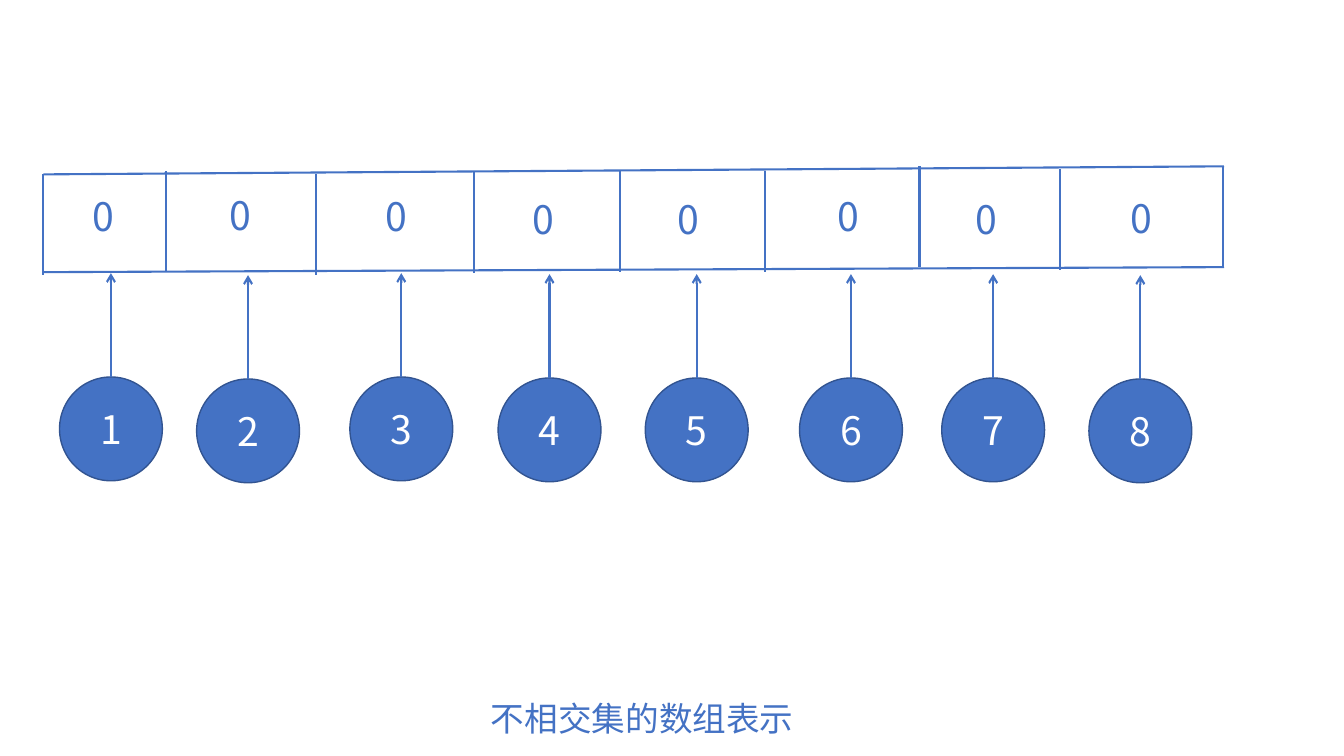
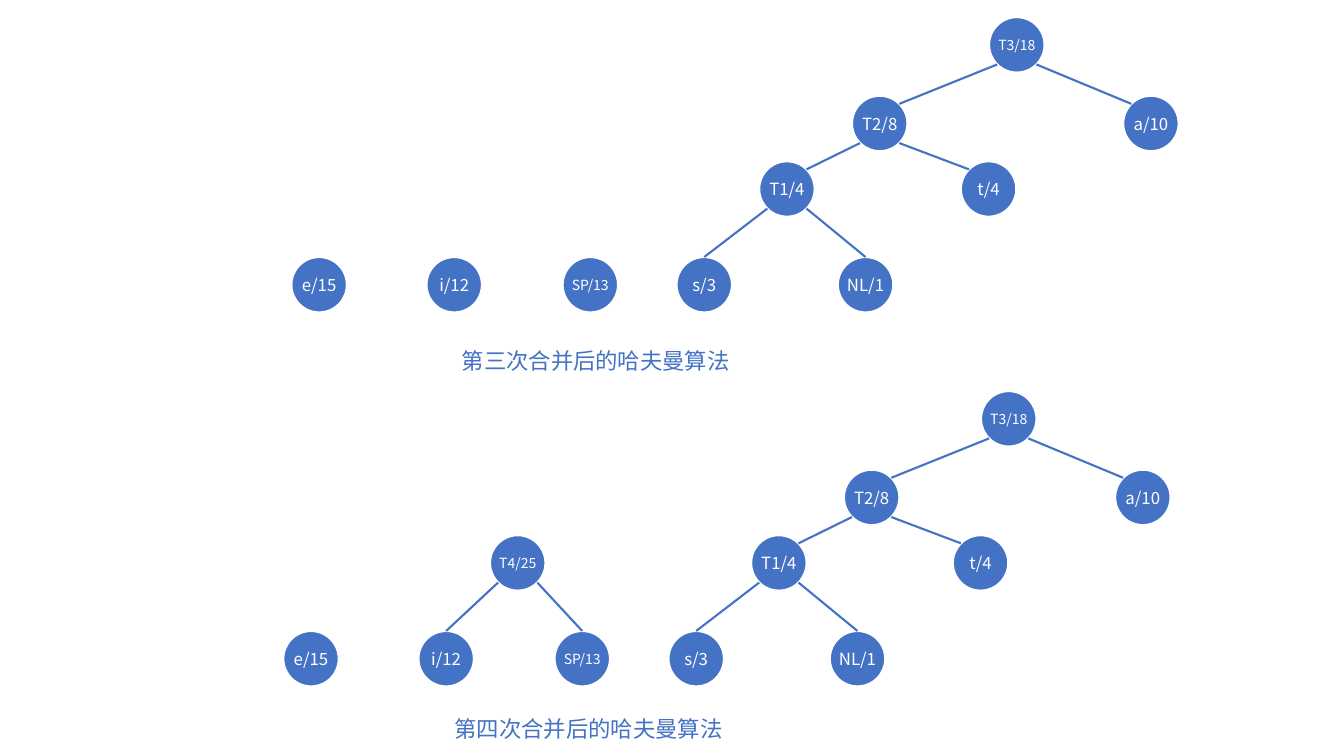
from math import sqrt

from lxml.etree import SubElement
from pptx import Presentation
from pptx.dml.color import RGBColor
from pptx.enum.shapes import MSO_CONNECTOR, MSO_SHAPE
from pptx.enum.text import MSO_ANCHOR, MSO_AUTO_SIZE, PP_ALIGN
from pptx.oxml.ns import qn
from pptx.util import Pt

PX = 9144
FONT = "Noto Sans CJK SC"
COLORS = {"blue": "4472C4", "navy": "325491", "white": "FFFFFF"}

DIVIDERS = [(0, 8), (122, 5), (270, 8), (427, 6), (572, 5),
            (716, 5), (869, 0), (1008, 3), (1170, 0)]
ZEROS = [(39, 21), (175, 20), (329, 21), (475, 24),
         (619, 24), (778, 21), (915, 24), (1068, 23)]
ELEMENTS = [(16, 209), (152, 211), (304, 209), (451, 210),
            (597, 210), (750, 210), (891, 210), (1037, 211)]

NODE = 55
LEAF_Y = 238
NODES = {"e/15": (0, LEAF_Y), "i/12": (134, LEAF_Y), "SP/13": (269, LEAF_Y),
         "s/3": (382, LEAF_Y), "NL/1": (542, LEAF_Y), "T1/4": (464, 143),
         "t/4": (664, 143), "T2/8": (556, 78), "a/10": (825, 78),
         "T3/18": (692, 0)}
EDGES = [("T1/4", "s/3"), ("T1/4", "NL/1"), ("T2/8", "T1/4"),
         ("T2/8", "t/4"), ("T3/18", "T2/8"), ("T3/18", "a/10")]
MERGED_NODES = {**NODES, "T4/25": (205, 143)}
MERGED_EDGES = EDGES + [("T4/25", "i/12"), ("T4/25", "SP/13")]


def rgb(name):
    return RGBColor.from_string(COLORS[name])


def box(*lengths):
    return [round(v * PX) for v in lengths]


def write(tf, text, size, color, align=None):
    tf.word_wrap = True
    p = tf.paragraphs[0]
    p.alignment = align
    r = p.add_run()
    r.text = text
    r.font.size = Pt(size)
    r.font.name = FONT
    r.font.color.rgb = rgb(color)
    SubElement(r.font._element, qn("a:ea"), typeface=FONT)


def add_text(slide, x, y, w, h, text, size, align=None):
    tf = slide.shapes.add_textbox(*box(x, y, w, h)).text_frame
    write(tf, text, size, "blue", align)
    tf.auto_size = MSO_AUTO_SIZE.SHAPE_TO_FIT_TEXT


def add_circle(slide, x, y, w, h, text, size, outline, width):
    sp = slide.shapes.add_shape(MSO_SHAPE.OVAL, *box(x, y, w, h))
    sp.shadow.inherit = False
    sp.fill.solid()
    sp.fill.fore_color.rgb = rgb("blue")
    sp.line.color.rgb = rgb(outline)
    sp.line.width = Pt(width)
    tf = sp.text_frame
    tf.margin_left = tf.margin_right = 0
    tf.vertical_anchor = MSO_ANCHOR.MIDDLE
    write(tf, text, size, "white", PP_ALIGN.CENTER)
    return sp


def add_line(slide, x1, y1, x2, y2, arrow=False):
    line = slide.shapes.add_connector(MSO_CONNECTOR.STRAIGHT, *box(x1, y1, x2, y2))
    line.line.color.rgb = rgb("blue")
    line.line.width = Pt(1.5)
    if arrow:
        SubElement(line.line._get_or_add_ln(), qn("a:tailEnd"), type="arrow")
    SubElement(line._element.spPr, qn("a:effectLst"))
    return line


def draw_array(slide, left, top):
    for i, (x, y) in enumerate(ELEMENTS, 1):
        x, y = left + x, top + y
        sp = add_circle(slide, x, y, 102, 103, str(i), 28, "navy", 1)
        arrow = add_line(slide, x + 51, y, x + 51, y - 103, arrow=True)
        arrow.begin_connect(sp, 0)
    for y1, y2 in ((8, 0), (105, 100)):
        add_line(slide, left, top + y1, left + 1171, top + y2)
    for x, y in DIVIDERS:
        add_line(slide, left + x, top + y, left + x, top + y + 100)
    for x, y in ZEROS:
        add_text(slide, left + x, top + y, 58, 57, "0", 28)


def draw_forest(slide, left, top, nodes, edges):
    circles = {}
    for text, (x, y) in nodes.items():
        size = 10 if len(text) > 4 else 12
        circles[text] = add_circle(slide, left + x, top + y, NODE, NODE,
                                   text, size, "white", 1.5)
    r = NODE / 2
    d = r / sqrt(2)
    for parent, child in edges:
        (px, py), (cx, cy) = nodes[parent], nodes[child]
        dx = d if cx > px else -d
        leaf = cy == LEAF_Y
        line = add_line(slide, left + px + r + dx, top + py + r + d,
                        left + cx + r - dx, top + cy + r - d)
        if leaf:
            line.end_connect(circles[child], 0)


def array_slide(prs):
    slide = prs.slides.add_slide(prs.slide_layouts[6])
    add_text(slide, 162, 687, 950, 50, "不相交集的数组表示", 24, PP_ALIGN.CENTER)
    draw_array(slide, 43, 165)


def huffman_slide(prs):
    slide = prs.slides.add_slide(prs.slide_layouts[6])
    steps = [(289, 17, 323, 339, "第三次合并后的哈夫曼算法", NODES, EDGES),
             (281, 388, 316, 705, "第四次合并后的哈夫曼算法", MERGED_NODES, MERGED_EDGES)]
    for left, top, x, y, caption, nodes, edges in steps:
        draw_forest(slide, left, top, nodes, edges)
        add_text(slide, x, y, 536, 37, caption, 16, PP_ALIGN.CENTER)


def main():
    prs = Presentation()
    prs.slide_width, prs.slide_height = box(1333, 750)
    array_slide(prs)
    huffman_slide(prs)
    prs.save("out.pptx")


if __name__ == "__main__":
    main()
